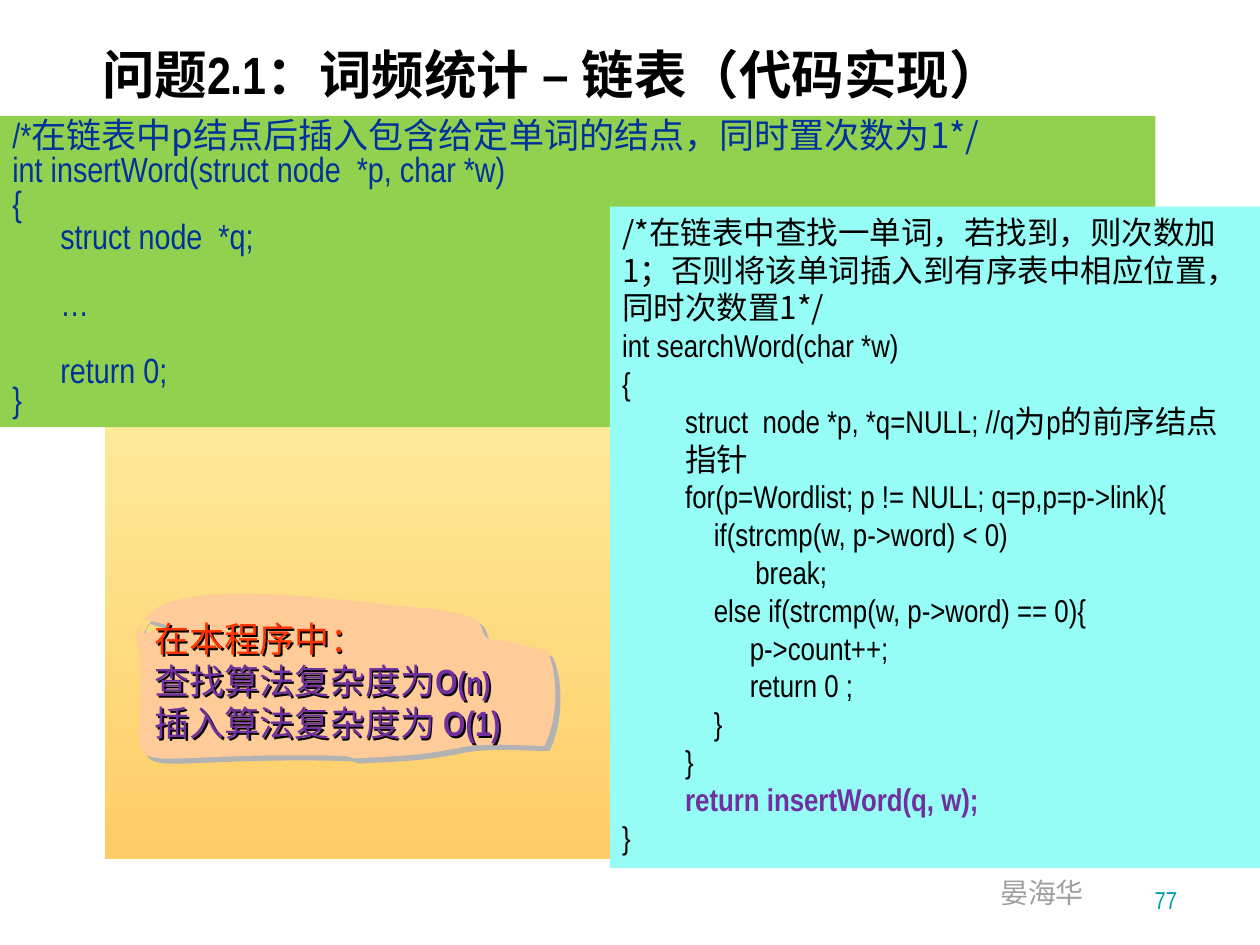
from lxml.etree import SubElement
from pptx import Presentation
from pptx.dml.color import RGBColor
from pptx.enum.shapes import MSO_SHAPE as Shape
from pptx.enum.text import MSO_ANCHOR as Anchor, PP_ALIGN as Align
from pptx.oxml.ns import qn
from pptx.util import Inches, Pt

COLORS = {
    "black": "000000", "navy": "003399", "purple": "7030A0", "red": "FF3300",
    "teal": "009EA1", "gray": "9F9F9F", "shadow": "B2B2B2",
    "green": "92D050", "cyan": "95FDF5", "peach": "FFCC99",
    "cream": "FCFEBC", "amber": "FFCC66",
}
LATIN, CJK = "Arial Narrow", "Noto Sans CJK SC"

# Each line: runs of (text, format), then the paragraph format
NOTE_CJK = {"name": CJK}
STRONG = {"bold": True, "color": "purple"}
INSERT_CODE = [
    ([("/*", {}), ("在链表中p结点后插入包含给定单词的结点，同时置次数为1*/", NOTE_CJK)], {}),
    ([("int insertWord(struct node  *p, char *w)", {})], {}),
    ([("{", {})], {}),
    ([("      struct node  *q;", {})], {}),
    ([("      …", {})], {"space_before": Pt(19)}),
    ([("      return 0;", {})], {"space_before": Pt(19)}),
    ([("}", {})], {"line_spacing": 0.65}),
]
SEARCH_CODE = [
    ([("/*在链表中查找一单词，若找到，则次数加1；否则将该单词插入到有序表中相应位置，"
       "同时次数置1*/", NOTE_CJK)], {}),
    ([("int searchWord(char *w)", {})], {}),
    ([("{", {})], {}),
    ([("struct  node *p, *q=NULL; //q为p的前序结点指针", {})], {"level": 1}),
    ([("for(p=Wordlist; p != NULL; q=p,p=p->link){", {})], {"level": 1}),
    ([("    if(strcmp(w, p->word) < 0)", {})], {"level": 1}),
    ([(" break;", {})], {"level": 2}),
    ([("    else if(strcmp(w, p->word) == 0){", {})], {"level": 1}),
    ([("         p->count++;", {})], {"level": 1}),
    ([("         return 0 ;", {})], {"level": 1}),
    ([("    }", {})], {"level": 1}),
    ([("}", {})], {"level": 1}),
    ([("return insertWord(q, w);", STRONG)], {"level": 1}),
    ([("}", {})], {}),
]
COMPLEXITY = [
    ([("在本程序中：", {"color": "red"})], {}),
    ([("查找算法复杂度为", {}), ("O", STRONG), ("(n)", {**STRONG, "size": Pt(18)})], {}),
    ([("插入算法复杂度为 ", {}), ("O(1)", STRONG)], {}),
]

# Cloud outline: start point, then Bézier segments (two controls and an end)
CLOUD_START = (1.14, 4.91)
CLOUD_CURVES = [
    [(1.05, 5.09), (1.07, 4.98), (1.11, 5.22)], [(1.16, 6.32), (0.73, 5.95), (2.72, 6)],
    [(2.75, 6), (2.78, 6.01), (2.81, 6.02)], [(3.17, 6), (3.31, 6), (3.62, 5.94)],
    [(3.84, 5.89), (4.09, 5.92), (4.32, 5.92)], [(4.42, 5.73), (4.44, 5.39), (4.35, 5.18)],
    [(4.34, 5.15), (4.16, 5.13), (4.13, 5.12)], [(4.1, 5.11), (4.07, 5.09), (4.03, 5.09)],
    [(3.98, 5.07), (3.91, 5.09), (3.87, 5.07)], [(3.83, 5.04), (3.83, 4.99), (3.81, 4.95)],
    [(3.79, 4.9), (3.69, 4.88), (3.62, 4.87)], [(3.55, 4.85), (3.42, 4.83), (3.42, 4.83)],
    [(3.07, 4.83), (1.11, 4.46), (1.11, 5.03)],
]
CLOUD_END = (1.39, 4.98)


def rgb(name):
    return RGBColor.from_string(COLORS[name])


def add_shadow(shape, color, distance):
    effects = SubElement(shape._element.spPr, qn("a:effectLst"))
    shadow = SubElement(effects, qn("a:outerShdw"),
                        dist=str(Pt(distance)), dir="2700000", algn="ctr")
    SubElement(shadow, qn("a:srgbClr"), val=COLORS[color])


def format_font(font, color, **values):
    font.color.rgb = rgb(color)
    for key, value in values.items():
        setattr(font, key, value)


def write_lines(frame, lines, run_format, line_format=None):
    frame.word_wrap = True
    for index, (runs, own_format) in enumerate(lines):
        line = frame.paragraphs[0] if index == 0 else frame.add_paragraph()
        for key, value in {"alignment": Align.LEFT, **(line_format or {}), **own_format}.items():
            setattr(line, key, value)
        for text, own_font in runs:
            run = line.add_run()
            run.text = text
            format_font(run.font, **{"name": LATIN, **run_format, **own_font})


def add_panel(slide, box):
    panel = slide.shapes.add_shape(Shape.RECTANGLE, *map(Inches, box))
    panel.shadow.inherit = False
    panel.line.fill.background()
    return panel


def add_code(slide, box, fill, lines, run_format, line_format=None):
    panel = add_panel(slide, box)
    panel.fill.solid()
    panel.fill.fore_color.rgb = rgb(fill)
    panel.text_frame.vertical_anchor = Anchor.TOP
    write_lines(panel.text_frame, lines, run_format, line_format)


def add_label(slide, box, lines, run_format, line_format=None, anchor=Anchor.TOP):
    label = slide.shapes.add_textbox(*map(Inches, box))
    label.text_frame.vertical_anchor = anchor
    write_lines(label.text_frame, lines, run_format, line_format)
    return label


def add_gradient(slide):
    backdrop = add_panel(slide, (0.83, 1.1, 8.28, 5.72))
    backdrop.fill.gradient()
    backdrop.fill.gradient_angle = 270
    for stop, color, position in zip(backdrop.fill.gradient_stops, ("cream", "amber"), (0, 1)):
        stop.color.rgb = rgb(color)
        stop.position = position


def add_cloud(slide):
    vertices = [point for curve in CLOUD_CURVES for point in curve] + [CLOUD_END]
    builder = slide.shapes.build_freeform(*map(Inches, CLOUD_START))
    builder.add_line_segments([(Inches(x), Inches(y)) for x, y in vertices], close=True)
    cloud = builder.convert_to_shape()
    # Join every three line segments into one Bézier curve
    segments = list(cloud._element.iter(qn("a:lnTo")))
    for first in range(0, 3 * len(CLOUD_CURVES), 3):
        curve, *others = segments[first:first + 3]
        curve.tag = qn("a:cubicBezTo")
        for other in others:
            curve.append(other[0])
            other.getparent().remove(other)
    cloud.fill.solid()
    cloud.fill.fore_color.rgb = rgb("peach")
    cloud.line.fill.background()
    add_shadow(cloud, "shadow", 4.2)


def set_title(slide, text):
    title = slide.shapes.title
    for side, inches in zip(("left", "top", "width", "height"), (0.71, 0.17, 8.96, 0.92)):
        setattr(title, side, Inches(inches))
    title.text_frame.vertical_anchor = Anchor.MIDDLE
    write_lines(title.text_frame, [([(text, {})], {})],
                {"size": Pt(30), "bold": True, "color": "black"}, {"line_spacing": 0.8})


def main():
    deck = Presentation()
    deck.slide_width, deck.slide_height = Inches(10), Inches(7.5)
    slide = deck.slides.add_slide(deck.slide_layouts[5])

    # Backdrop, author, title and page number
    add_gradient(slide)
    author = add_label(slide, (7.84, 6.9, 0.87, 0.37), [([("晏海华", {})], {})],
                       {"size": Pt(16), "color": "gray"})
    author.text_frame.word_wrap = False
    set_title(slide, "问题2.1：词频统计 – 链表（代码实现）")
    add_label(slide, (7.36, 6.81, 2.08, 0.5), [([("77", {})], {})],
              {"size": Pt(14), "color": "teal"}, {"alignment": Align.RIGHT}, Anchor.BOTTOM)

    # Code panels
    add_code(slide, (0, 0.92, 9.17, 2.47), "green", INSERT_CODE,
             {"size": Pt(20), "color": "navy"}, {"line_spacing": 0.8})
    add_code(slide, (4.84, 1.64, 5.16, 5.25), "cyan", SEARCH_CODE,
             {"size": Pt(18), "color": "black"})

    # Complexity remark
    add_cloud(slide)
    remark = add_label(slide, (1.13, 4.85, 3.28, 1.11), COMPLEXITY,
                       {"size": Pt(20), "color": "purple"})
    add_shadow(remark, "black", 1.5)

    deck.save("out.pptx")


if __name__ == "__main__":
    main()
